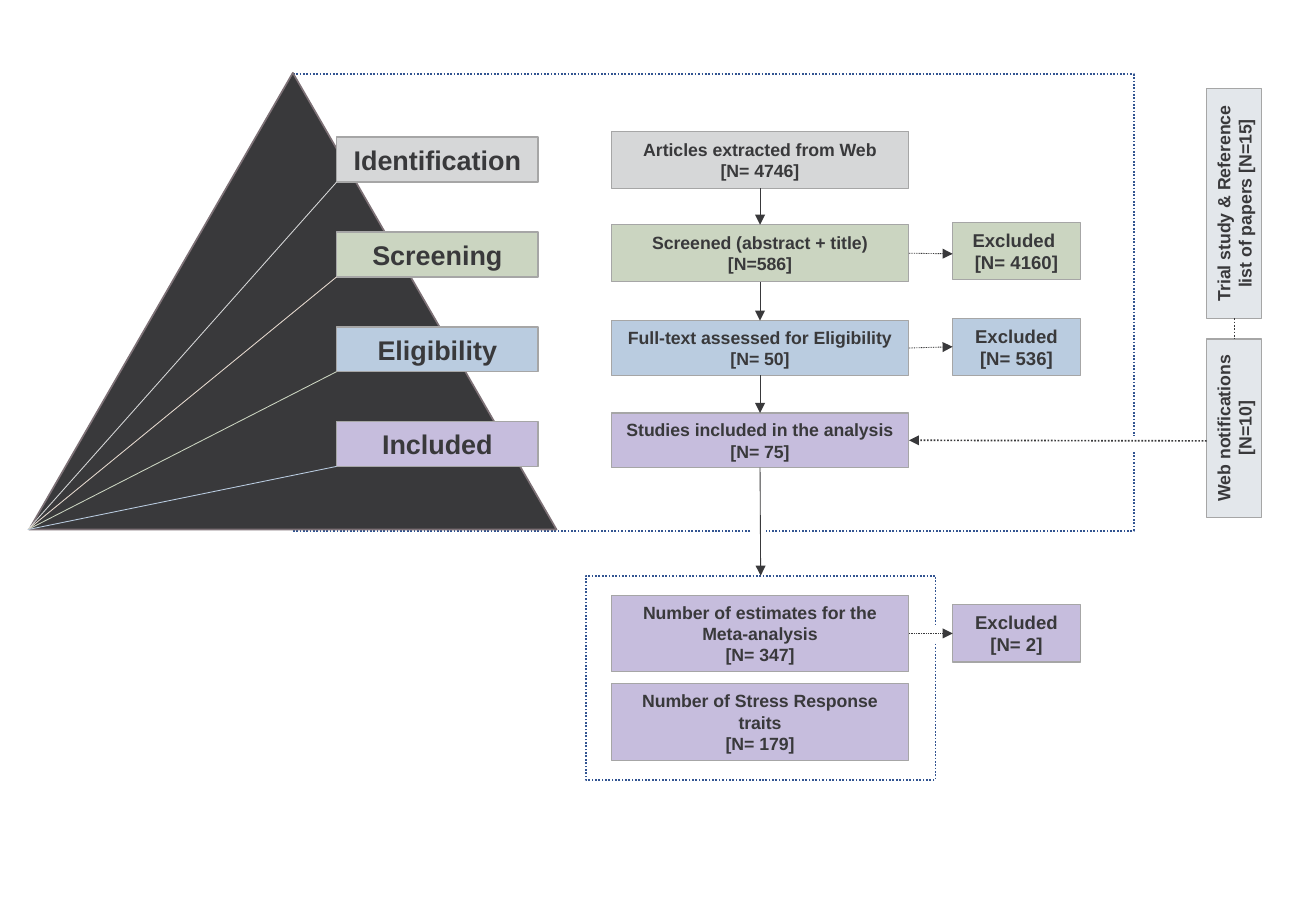
from lxml.etree import SubElement
from pptx import Presentation
from pptx.dml.color import RGBColor
from pptx.enum.dml import MSO_LINE as Dash
from pptx.enum.shapes import MSO_CONNECTOR as Wire, MSO_SHAPE as Form
from pptx.enum.text import MSO_ANCHOR as Anchor, PP_ALIGN as Align
from pptx.oxml.ns import qn
from pptx.util import Pt

PX = 9144
INK = RGBColor(0x39, 0x39, 0x3B)
NAVY = RGBColor(0x32, 0x54, 0x91)
BROWN = RGBColor(0x7D, 0x71, 0x76)
EDGE = RGBColor(0xA6, 0xA6, 0xA6)
WHITE = RGBColor(0xFF, 0xFF, 0xFF)
GRAY = RGBColor(0xD6, 0xD7, 0xD8)
SAND = RGBColor(0xE7, 0xDA, 0xCF)
GREEN = RGBColor(0xCB, 0xD5, 0xC1)
BLUE = RGBColor(0xBA, 0xCC, 0xE0)
LILAC = RGBColor(0xC6, 0xBD, 0xDD)
PALE = RGBColor(0xE3, 0xE7, 0xEB)

TOP, LEFT, BOTTOM, RIGHT = range(4)


def write(shape, text, size=10.5, color=INK, bold=True, font="Arial"):
    frame = shape.text_frame
    frame.word_wrap = True
    frame.vertical_anchor = Anchor.MIDDLE
    for i, line in enumerate(text.split("\n")):
        para = frame.paragraphs[0] if i == 0 else frame.add_paragraph()
        para.alignment = Align.CENTER
        run = para.add_run()
        run.text = line
        run.font.name = font
        run.font.size = Pt(size)
        run.font.bold = bold
        run.font.color.rgb = color


def draw(page, area, fill=None, edge=EDGE, weight=0.75, form=Form.RECTANGLE):
    shape = page.shapes.add_shape(form, *(n * PX for n in area))
    shape.shadow.inherit = False
    if fill is None:
        shape.fill.background()
    else:
        shape.fill.solid()
        shape.fill.fore_color.rgb = fill
    shape.line.color.rgb = edge
    shape.line.width = Pt(weight)
    return shape


def frame(page, area):
    shape = draw(page, area, edge=NAVY, weight=1)
    shape.line.dash_style = Dash.ROUND_DOT
    return shape


def box(page, area, fill, text, size=10.5, turn=0):
    shape = draw(page, area, fill)
    shape.rotation = turn
    write(shape, text, size=size)
    return shape


def link(page, start=(0, 0), end=(0, 0), color=INK, weight=0.5,
         dots=False, arrow=False, tie=None, to=None):
    wire = page.shapes.add_connector(Wire.STRAIGHT, *(n * PX for n in (*start, *end)))
    wire.line.color.rgb = color
    wire.line.width = Pt(weight)
    if dots:
        wire.line.dash_style = Dash.ROUND_DOT
    if arrow:
        SubElement(wire.line._get_or_add_ln(), qn("a:tailEnd"), type="triangle")
    SubElement(wire._element.spPr, qn("a:effectLst"))
    if tie:
        wire.begin_connect(*tie)
    if to:
        wire.end_connect(*to)
    return wire


def pyramid(page):
    draw(page, (24, 60, 434, 376), INK, BROWN, 1, Form.ISOSCELES_TRIANGLE)
    steps = [("Identification", GRAY, GRAY), ("Screening", GREEN, SAND),
             ("Eligibility", BLUE, GREEN), ("Included", LILAC, BLUE)]
    for i, (name, fill, ray) in enumerate(steps):
        y = 113 + 78 * i
        label = draw(page, (277, y, 166, 37), fill, weight=1)
        write(label, name, size=16)
        link(page, (23, 436), (277, y + 37), ray)


def flow(page, group):
    steps = [
        box(page, (503, 108, 245, 47), GRAY, "Articles extracted from Web\n[N= 4746]"),
        box(page, (503, 185, 245, 47), GREEN, "Screened (abstract + title)\n[N=586]"),
        box(page, (503, 264, 245, 45), BLUE, "Full-text assessed for Eligibility\n[N= 50]"),
        box(page, (503, 340, 245, 45), LILAC, "Studies included in the analysis\n[N= 75]"),
    ]
    sums = box(page, (503, 490, 245, 63), LILAC,
               "Number of estimates for the Meta-analysis\n[N= 347]")
    box(page, (503, 563, 245, 63), LILAC, "Number of Stress Response traits\n[N= 179]")
    for above, below in zip(steps, steps[1:] + [group]):
        link(page, arrow=True, tie=(above, BOTTOM), to=(below, TOP))

    box(page, (784, 183, 105, 47), GREEN, "Excluded \n[N= 4160]", 11)
    link(page, end=(784, 209), dots=True, arrow=True, tie=(steps[1], RIGHT))
    outs = [(steps[2], 262, BLUE, "Excluded [N= 536]"),
            (sums, 498, LILAC, "Excluded [N= 2]")]
    for step, y, fill, text in outs:
        out = box(page, (784, y, 105, 47), fill, text, 11)
        link(page, dots=True, arrow=True, tie=(step, RIGHT), to=(out, LEFT))
    return steps[-1]


def extras(page, final):
    trial = box(page, (921, 145, 189, 45), PALE,
                "Trial study & Reference list of papers [N=15]", turn=270)
    news = box(page, (942, 330, 147, 45), PALE, "Web notifications\n[N=10]", turn=270)
    wire = link(page, weight=1, dots=True, tie=(trial, LEFT), to=(news, RIGHT))
    wire.begin_x = wire.end_x = 1016 * PX
    wire.begin_y, wire.end_y = 262 * PX, 279 * PX
    link(page, (993, 363), weight=1, dots=True, arrow=True, to=(final, RIGHT))


def main():
    deck = Presentation()
    deck.slide_width, deck.slide_height = 1083 * PX, 750 * PX
    page = deck.slides.add_slide(deck.slide_layouts[6])
    frame(page, (241, 61, 692, 376))
    group = frame(page, (482, 474, 288, 168))
    for x, y in [(619, 431), (928, 360), (765, 517)]:
        draw(page, (x, y, 11, 11), WHITE, WHITE, 1)
    pyramid(page)
    final = flow(page, group)
    extras(page, final)
    deck.save("out.pptx")


if __name__ == "__main__":
    main()
